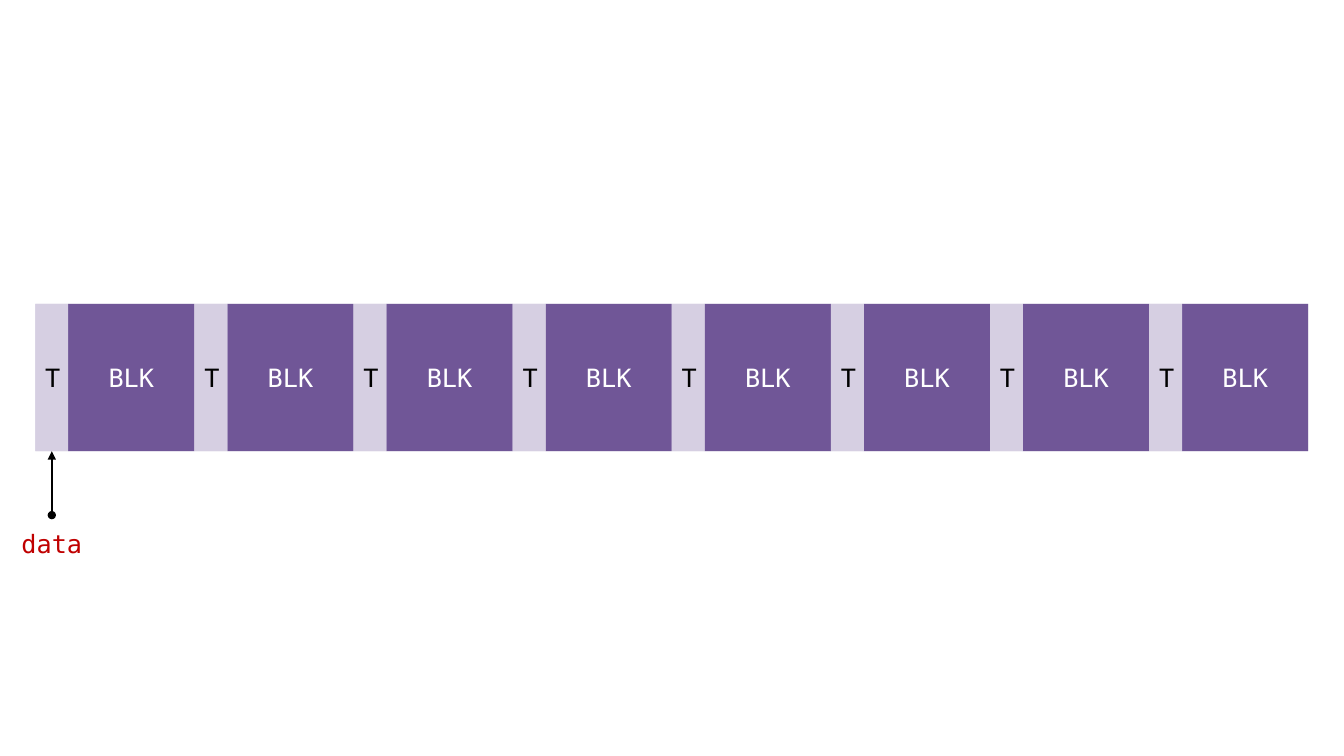
from pptx import Presentation
from pptx.dml.color import RGBColor
from pptx.enum.shapes import MSO_CONNECTOR, MSO_SHAPE
from pptx.enum.text import MSO_ANCHOR, MSO_AUTO_SIZE, PP_ALIGN
from pptx.oxml.ns import qn
from pptx.util import Cm, Pt
from lxml.etree import SubElement

PURPLE = RGBColor(0x70, 0x56, 0x97)
LILAC = RGBColor(0xD6, 0xCF, 0xE2)
WHITE = RGBColor(0xFF, 0xFF, 0xFF)
BLACK = RGBColor(0x00, 0x00, 0x00)
RED = RGBColor(0xC0, 0x00, 0x00)
FONT = "DejaVu Sans Mono"

WAY_COUNT = 8
SET_LEFT, SET_TOP, SET_HEIGHT = 0.89, 7.66, 3.71
TAG_WIDTH, BLOCK_WIDTH = 0.83, 3.18
WAY_WIDTH = TAG_WIDTH + BLOCK_WIDTH


def write_text(frame, text, color):
    frame.text = text
    paragraph = frame.paragraphs[0]
    paragraph.alignment = PP_ALIGN.CENTER
    font = paragraph.runs[0].font
    font.name, font.size = FONT, Pt(18)
    font.color.rgb = color


def add_cell(shapes, left, width, fill, text="", color=BLACK):
    cell = shapes.add_shape(MSO_SHAPE.RECTANGLE, Cm(left), Cm(SET_TOP),
                            Cm(width), Cm(SET_HEIGHT))
    cell.shadow.inherit = False
    cell.fill.solid()
    cell.fill.fore_color.rgb = fill
    cell.line.fill.background()
    if text:
        cell.text_frame.vertical_anchor = MSO_ANCHOR.MIDDLE
        write_text(cell.text_frame, text, color)


def add_pointer(shapes, x, start, end):
    pointer = shapes.add_connector(MSO_CONNECTOR.STRAIGHT, Cm(x), Cm(start),
                                   Cm(x), Cm(end))
    pointer.line.color.rgb = BLACK
    pointer.line.width = Pt(1.5)
    outline = pointer.line._get_or_add_ln()
    SubElement(outline, qn("a:headEnd"), type="oval")
    SubElement(outline, qn("a:tailEnd"), type="triangle")
    SubElement(pointer._element.spPr, qn("a:effectLst"))


def add_label(shapes, center, top, width, height, text, color):
    label = shapes.add_textbox(Cm(center - width / 2), Cm(top),
                               Cm(width), Cm(height))
    label.text_frame.word_wrap = True
    label.text_frame.auto_size = MSO_AUTO_SIZE.SHAPE_TO_FIT_TEXT
    write_text(label.text_frame, text, color)


def main():
    deck = Presentation()
    deck.slide_width, deck.slide_height = Cm(33.87), Cm(19.05)
    slide = deck.slides.add_slide(deck.slide_layouts[6])
    cache_set = slide.shapes.add_group_shape().shapes

    add_cell(cache_set, SET_LEFT, WAY_COUNT * WAY_WIDTH, LILAC)
    way_lefts = [SET_LEFT + way * WAY_WIDTH for way in range(WAY_COUNT)]
    for left in way_lefts:
        add_cell(cache_set, left + TAG_WIDTH, BLOCK_WIDTH, PURPLE, "BLK", WHITE)
    for left in way_lefts:
        add_cell(cache_set, left, TAG_WIDTH, LILAC, "T")

    tag_center = SET_LEFT + TAG_WIDTH / 2
    add_pointer(cache_set, tag_center, 12.98, SET_TOP + SET_HEIGHT)
    add_label(cache_set, tag_center, 13.18, 2.21, 1.02, "data", RED)
    deck.save("out.pptx")


if __name__ == "__main__":
    main()
